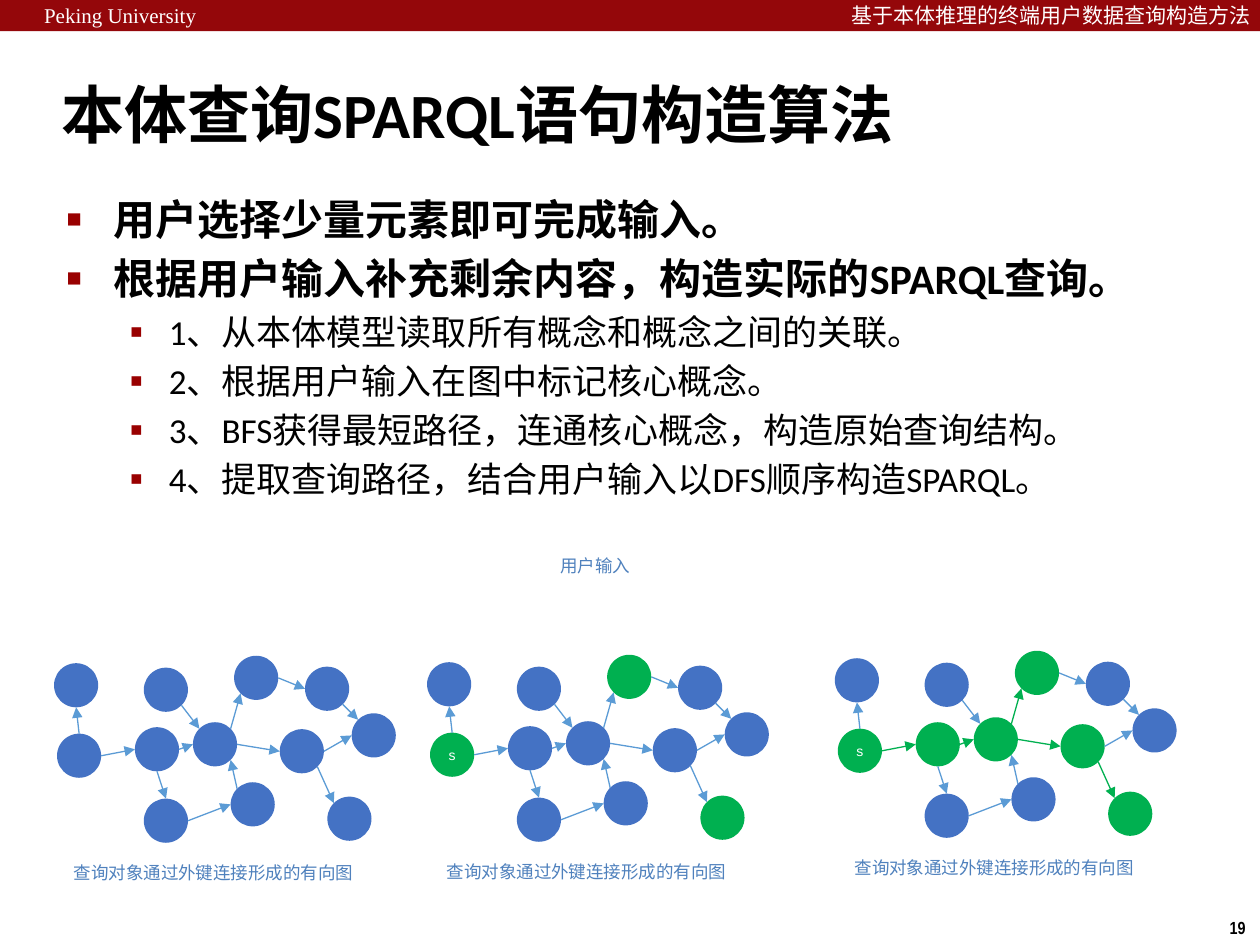
"""Build the slide on the SPARQL construction algorithm, with three directed graphs."""
import math
from dataclasses import dataclass

import pptx
import pptx.dml.color
import pptx.enum.shapes
import pptx.enum.text
import pptx.oxml.ns
import pptx.util
from lxml import etree
from pptx.util import Cm

BLUE, GREEN, ARROW, CAPTION = "4472C4", "00B050", "5B9BD5", "4F81BD"
BLACK, WHITE, BANNER, BULLET = "000000", "FFFFFF", "94070A", "990000"
DIAMETER = 0.89
TOP, TOP_LEFT, LEFT, BOTTOM_LEFT, BOTTOM, BOTTOM_RIGHT, RIGHT, TOP_RIGHT = range(8)


@dataclass(frozen=True)
class Edge:
    start: str
    start_site: int
    end: str
    end_site: int


@dataclass(frozen=True)
class Graph:
    dx: float
    dy: float
    green_nodes: str = ""
    green_edges: tuple[str, ...] = ()


@dataclass(frozen=True)
class Label:
    text: str
    x: float
    y: float
    w: float
    size: float
    font: str
    color: str
    bold: bool = False
    wrap: bool = True


@dataclass(frozen=True)
class Item:
    text: str
    level: int = 0


@dataclass(frozen=True)
class ItemStyle:
    size: int
    bold: bool
    indent: float
    hanging: float
    bullet: str
    bullet_pct: int


NODES = {
    "a": (2.9, 13.46), "s": (1.15, 14.79), "c": (2.72, 14.66), "d": (2.9, 16.1),
    "e": (4.65, 15.77), "f": (6.15, 13.44), "g": (4.72, 13.22), "h": (3.89, 14.56),
    "i": (5.64, 14.7), "j": (7.09, 14.38), "k": (1.09, 13.37), "l": (6.6, 16.06),
}
EDGES = [
    Edge("s", TOP, "k", BOTTOM), Edge("s", RIGHT, "c", LEFT),
    Edge("c", BOTTOM, "d", TOP), Edge("a", BOTTOM_RIGHT, "h", TOP_LEFT),
    Edge("h", TOP_RIGHT, "g", BOTTOM_LEFT), Edge("g", RIGHT, "f", LEFT),
    Edge("f", BOTTOM_RIGHT, "j", TOP_LEFT), Edge("i", RIGHT, "j", LEFT),
    Edge("h", RIGHT, "i", LEFT), Edge("c", RIGHT, "h", LEFT),
    Edge("e", TOP_LEFT, "h", BOTTOM_RIGHT), Edge("i", BOTTOM_RIGHT, "l", TOP_LEFT),
    Edge("d", RIGHT, "e", LEFT),
]
GRAPHS = [
    Graph(0, 0),
    Graph(7.52, -0.02, "sgl"),
    Graph(15.74, -0.1, "scghil", ("sc", "ch", "hg", "hi", "il")),
]
LABELS = [
    Label("Peking University", 0.64, -0.08, 3.6, 12, "Times New Roman", WHITE),
    Label("19", 24.54, 18.36, 0.86, 10, "Arial Narrow", BLACK, True, False),
    Label("基于本体推理的终端用户数据查询构造方法", 16.92, -0.08, 8.64, 12,
          "Times New Roman", WHITE, wrap=False),
    Label("用户输入", 11.05, 11.07, 2.62, 10, "Calibri", CAPTION),
]
ITEMS = [
    Item("用户选择少量元素即可完成输入。"),
    Item("根据用户输入补充剩余内容，构造实际的SPARQL查询。"),
    Item("1、从本体模型读取所有概念和概念之间的关联。", 1),
    Item("2、根据用户输入在图中标记核心概念。", 1),
    Item("3、BFS获得最短路径，连通核心概念，构造原始查询结构。", 1),
    Item("4、提取查询路径，结合用户输入以DFS顺序构造SPARQL。", 1),
]
ITEM_STYLES = [
    ItemStyle(24, True, 0.95, 0.95, "■", 60),
    ItemStyle(20, False, 2.06, 0.79, "▪", 110),
]


def rgb(color: str) -> pptx.dml.color.RGBColor:
    return pptx.dml.color.RGBColor.from_string(color)


def add_run(p, text: str, size: float, font: str, color: str, bold: bool = False) -> None:
    r = p.add_run()
    r.text = text
    r.font.size, r.font.name, r.font.bold = pptx.util.Pt(size), font, bold
    r.font.color.rgb = rgb(color)


def add_label(shapes, label: Label) -> None:
    sp = shapes.add_textbox(Cm(label.x), Cm(label.y), Cm(label.w), Cm(0.7))
    tf = sp.text_frame
    tf.word_wrap = label.wrap
    add_run(tf.paragraphs[0], label.text, label.size, label.font, label.color, label.bold)


def add_filled(shapes, kind, x: float, y: float, w: float, h: float, color: str):
    sp = shapes.add_shape(kind, Cm(x), Cm(y), Cm(w), Cm(h))
    sp.shadow.inherit = False
    sp.fill.solid()
    sp.fill.fore_color.rgb = rgb(color)
    sp.line.fill.background()
    return sp


def site_point(graph: Graph, node: str, site: int) -> tuple[int, int]:
    x, y = NODES[node]
    angle = math.radians(90 + 45 * site)
    radius = DIAMETER / 2
    return (Cm(x + graph.dx + radius * (1 + math.cos(angle))),
            Cm(y + graph.dy + radius * (1 - math.sin(angle))))


def add_arrow(shapes, graph: Graph, edge: Edge) -> None:
    cx = shapes.add_connector(
        pptx.enum.shapes.MSO_CONNECTOR.STRAIGHT,
        *site_point(graph, edge.start, edge.start_site),
        *site_point(graph, edge.end, edge.end_site))
    green = edge.start + edge.end in graph.green_edges
    cx.line.color.rgb = rgb(GREEN if green else ARROW)
    cx.line.width = pptx.util.Pt(0.75)
    sp_pr = cx.line._get_or_add_ln().getparent()
    etree.SubElement(cx.line._get_or_add_ln(), pptx.oxml.ns.qn("a:tailEnd"), type="triangle")
    etree.SubElement(sp_pr, pptx.oxml.ns.qn("a:effectLst"))


def add_graph(s, graph: Graph) -> None:
    shapes = s.shapes.add_group_shape().shapes
    for name, (x, y) in NODES.items():
        color = GREEN if name in graph.green_nodes else BLUE
        sp = add_filled(shapes, pptx.enum.shapes.MSO_SHAPE.OVAL, x + graph.dx, y + graph.dy,
                        DIAMETER, DIAMETER, color)
        if name == "s" and color == GREEN:
            tf = sp.text_frame
            tf.margin_left = tf.margin_right = tf.margin_top = tf.margin_bottom = 0
            tf.vertical_anchor = pptx.enum.text.MSO_ANCHOR.MIDDLE
            tf.paragraphs[0].alignment = pptx.enum.text.PP_ALIGN.CENTER
            add_run(tf.paragraphs[0], "s", 8, "Arial", WHITE)
    for edge in EDGES:
        add_arrow(shapes, graph, edge)
    add_label(shapes, Label("查询对象通过外键连接形成的有向图", 1.24 + graph.dx, 17.25 + graph.dy,
                            6.83, 10, "Calibri", CAPTION))


def place(sp, x: float, y: float, w: float, h: float):
    sp.left, sp.top, sp.width, sp.height = Cm(x), Cm(y), Cm(w), Cm(h)
    sp.text_frame.auto_size = pptx.enum.text.MSO_AUTO_SIZE.NONE
    return sp.text_frame


def add_item(p, item: Item) -> None:
    style = ITEM_STYLES[item.level]
    p.level = item.level
    p_pr = p._p.get_or_add_pPr()
    p_pr.set("marL", str(Cm(style.indent)))
    p_pr.set("indent", str(-Cm(style.hanging)))
    qn = pptx.oxml.ns.qn
    etree.SubElement(etree.SubElement(p_pr, qn("a:buClr")), qn("a:srgbClr"), val=BULLET)
    etree.SubElement(p_pr, qn("a:buSzPct"), val=str(style.bullet_pct * 1000))
    etree.SubElement(p_pr, qn("a:buChar"), char=style.bullet)
    add_run(p, item.text, style.size, "Calibri", BLACK, style.bold)


def main() -> None:
    prs = pptx.Presentation()
    prs.slide_width, prs.slide_height = Cm(25.4), Cm(19.05)
    s = prs.slides.add_slide(prs.slide_layouts[1])
    add_filled(s.shapes, pptx.enum.shapes.MSO_SHAPE.RECTANGLE, 0, 0, 25.4, 0.63, BANNER)
    tf = place(s.shapes.title, 0.99, 1.22, 21.08, 2.11)
    tf.vertical_anchor = pptx.enum.text.MSO_ANCHOR.MIDDLE
    tf.paragraphs[0].alignment = pptx.enum.text.PP_ALIGN.LEFT
    add_run(tf.paragraphs[0], "本体查询SPARQL语句构造算法", 36, "Calibri", BLACK, True)
    tf = place(s.placeholders[1], 1.09, 3.78, 21.95, 13.82)
    for i, item in enumerate(ITEMS):
        add_item(tf.add_paragraph() if i else tf.paragraphs[0], item)
    tf.paragraphs[0].space_before = pptx.util.Pt(0)
    for label in LABELS:
        add_label(s.shapes, label)
    for graph in GRAPHS:
        add_graph(s, graph)
    prs.save("out.pptx")


if __name__ == "__main__":
    main()
